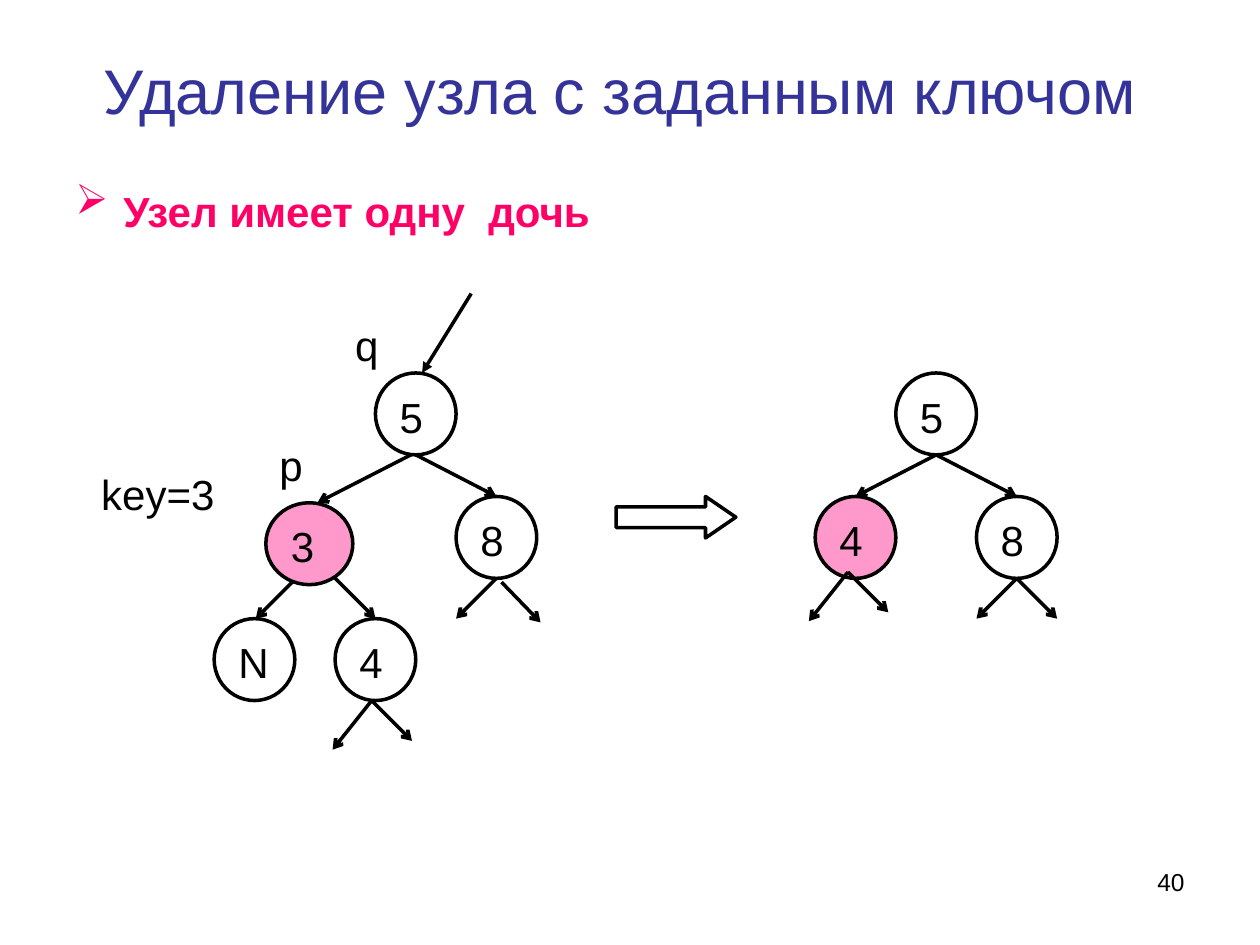
from dataclasses import dataclass

from lxml import etree
from pptx import Presentation
from pptx.dml.color import RGBColor
from pptx.enum.shapes import MSO_CONNECTOR, MSO_SHAPE
from pptx.enum.text import MSO_ANCHOR, PP_ALIGN
from pptx.oxml.ns import qn
from pptx.util import Inches, Pt

LEFT, CENTER, RIGHT = PP_ALIGN.LEFT, PP_ALIGN.CENTER, PP_ALIGN.RIGHT
TOP, MIDDLE = MSO_ANCHOR.TOP, MSO_ANCHOR.MIDDLE
ELLIPSE, RIGHT_ARROW = MSO_SHAPE.OVAL, MSO_SHAPE.RIGHT_ARROW
STRAIGHT = MSO_CONNECTOR.STRAIGHT


@dataclass(frozen=True)
class Theme:
    font: str = "Arial"
    ink: str = "000000"
    paper: str = "FFFFFF"
    title: str = "333399"
    accent: str = "FF0066"
    marked: str = "FF99CC"
    title_size: int = 36
    title_end: int = 40
    body_size: int = 24
    body_end: int = 32
    number_size: int = 14
    stroke: int = 2


THEME = Theme()
WIDTH, HEIGHT = 10, 7.5
STEP = 0.32
ROWS = (2.96, 3.94, 4.91)
NODE_W, NODE_H = 0.64, 0.65
BEFORE, AFTER = 3.3, 7.43

TITLE = [("Удаление узла с заданным ключом", THEME.title_size, THEME.title, False),
         (" ", THEME.title_end, THEME.ink, False)]
CASE = [("Узел имеет одну  дочь", THEME.body_size, THEME.accent, True),
        (" ", THEME.body_end, THEME.ink, False)]
LABELS = [
    ("key=3", (0.59, 3.67, 1.21, 0.54), RIGHT),
    ("q", (2.72, 2.49, 0.39, 0.47), LEFT),
    ("p", (2.09, 3.44, 0.41, 0.62), RIGHT),
]

BACK_NODES = [
    ("5", AFTER, 0, 0, THEME.paper),
    ("8", AFTER, 2, 1, THEME.paper),
    ("4", AFTER, -2, 1, THEME.marked),
    ("8", BEFORE, 2, 1, THEME.paper),
    ("4", BEFORE, -1, 2, THEME.paper),
    ("N", BEFORE, -4, 2, THEME.paper),
]
DELETED = ("3", (2.11, 3.99, 0.69, NODE_H), THEME.marked)
ROOT = ("5", BEFORE, 0, 0, THEME.paper)

LEAF_ENDS = [(STEP, 0.32), (-0.31, 0.39)]
BRANCHES = [
    ((AFTER, 3.61), [(-0.64, 0.33), (0.64, 0.33)]),
    ((8.07, 4.59), [(-STEP, STEP), (STEP, STEP)]),
    ((6.73, 4.54), LEAF_ENDS),
    ((BEFORE, 3.61), [(0.64, 0.33)]),
    ((3.32, 3.58), [(-0.8, 0.41)]),
    ((3.94, 4.59), [(-STEP, STEP)]),
    ((3.98, 4.62), [(0.31, STEP)]),
    ((2.35, 4.59), [(-STEP, STEP)]),
    ((2.66, 4.59), [(STEP, STEP)]),
    ((2.95, 5.56), LEAF_ENDS),
]


def color(value):
    return RGBColor.from_string(value)


def write(box, spans, align=LEFT, anchor=TOP, bullet=None):
    frame = box.text_frame
    frame.word_wrap = True
    frame.vertical_anchor = anchor
    para = frame.paragraphs[0]
    para.alignment = align
    if bullet:
        props = para._p.get_or_add_pPr()
        props.set("marL", str(Inches(0.38)))
        props.set("indent", str(Inches(-0.38)))
        tint = etree.SubElement(props, qn("a:buClr"))
        etree.SubElement(tint, qn("a:srgbClr")).set("val", THEME.accent)
        etree.SubElement(props, qn("a:buChar")).set("char", bullet)
    for text, size, ink, bold in spans:
        span = para.add_run()
        span.text = text
        span.font.name = THEME.font
        span.font.size = Pt(size)
        span.font.bold = bold
        span.font.color.rgb = color(ink)


def plain(text, size=THEME.body_size):
    return [(text, size, THEME.ink, False)]


def add_text(page, area, spans, **style):
    write(page.shapes.add_textbox(*map(Inches, area)), spans, **style)


def add_outlined(page, kind, area, fill):
    shape = page.shapes.add_shape(kind, *map(Inches, area))
    shape.shadow.inherit = False
    shape.fill.solid()
    shape.fill.fore_color.rgb = color(fill)
    shape.line.color.rgb = color(THEME.ink)
    shape.line.width = Pt(THEME.stroke)
    return shape


def add_circle(page, text, area, fill):
    write(add_outlined(page, ELLIPSE, area, fill), plain(text))


def add_node(page, text, root, column, row, fill):
    left = root + column * STEP - NODE_W / 2
    add_circle(page, text, (left, ROWS[row], NODE_W, NODE_H), fill)


def add_arrow(page, start, end, head="arrow"):
    line = page.shapes.add_connector(STRAIGHT, *map(Inches, (*start, *end)))
    line.line.color.rgb = color(THEME.ink)
    line.line.width = Pt(THEME.stroke)
    outline = line.get_or_add_ln()
    etree.SubElement(outline, qn("a:tailEnd")).set("type", head)
    etree.SubElement(outline.getparent(), qn("a:effectLst"))


def main():
    deck = Presentation()
    deck.slide_width, deck.slide_height = Inches(WIDTH), Inches(HEIGHT)
    page = deck.slides.add_slide(deck.slide_layouts[6])

    add_text(page, (0.5, 0.3, 9, 0.77), TITLE, align=CENTER, anchor=MIDDLE)
    add_text(page, (0.5, 1.31, 7.18, 0.71), CASE, bullet="➢")
    for text, area, align in LABELS:
        add_text(page, area, plain(text), align=align)

    for node in BACK_NODES:
        add_node(page, *node)
    for (x, y), ends in BRANCHES:
        for dx, dy in ends:
            add_arrow(page, (x, y), (x + dx, y + dy))
    add_circle(page, *DELETED)
    add_node(page, *ROOT)
    add_arrow(page, (3.74, 2.33), (3.35, ROWS[0]), head="triangle")

    becomes = add_outlined(page, RIGHT_ARROW, (4.89, ROWS[1], 0.95, 0.33), THEME.paper)
    becomes.adjustments[0] = 0.5
    becomes.adjustments[1] = 0.73
    add_text(page, (7.17, 6.83, 2.33, 0.52), plain("40", THEME.number_size), align=RIGHT)
    deck.save("out.pptx")


if __name__ == "__main__":
    main()
